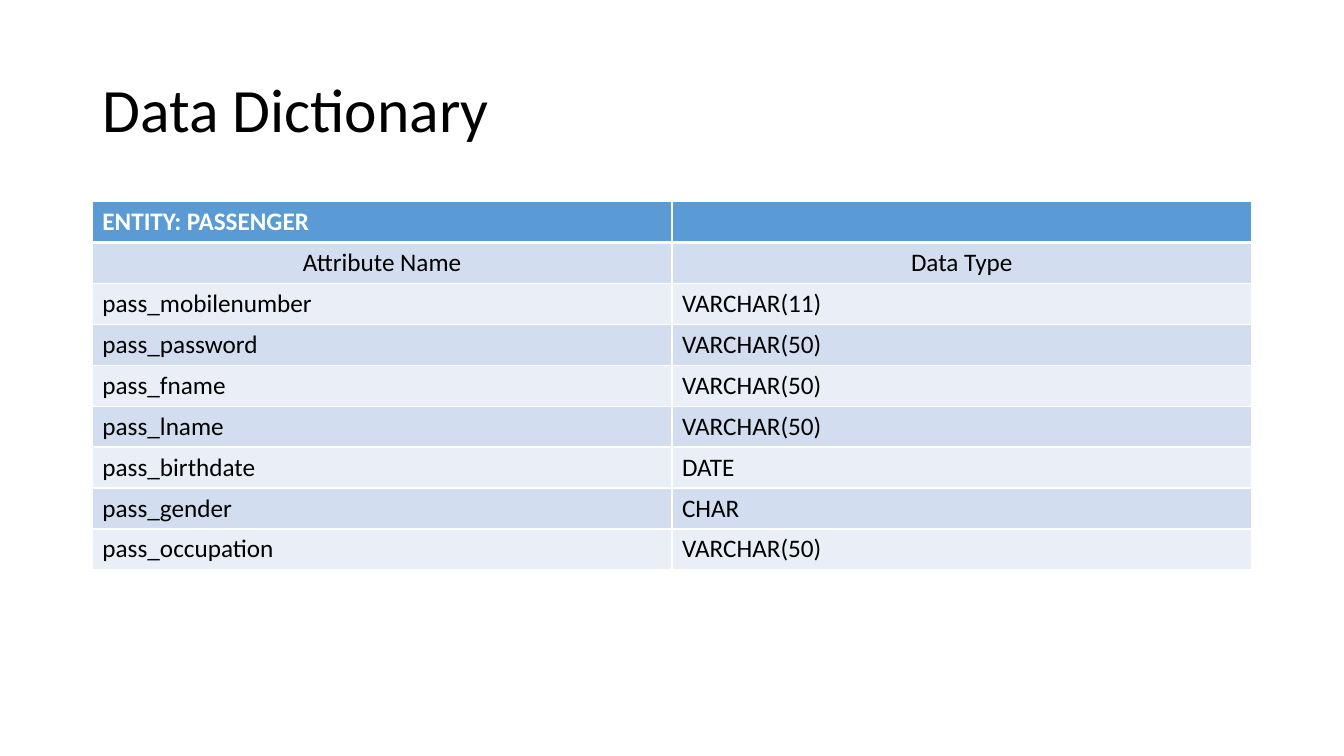
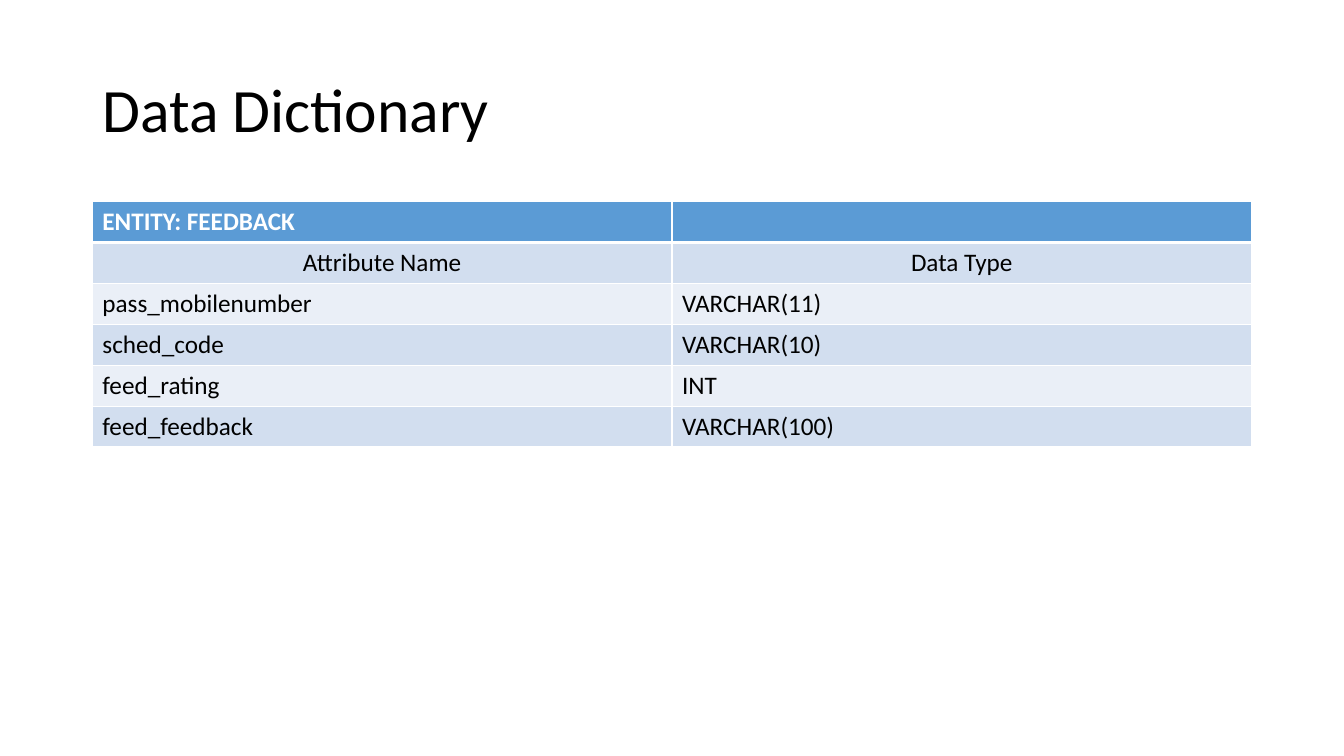
"""Build the data dictionary slides, one entity table per slide."""
from dataclasses import dataclass

from lxml.etree import SubElement
from pptx import Presentation
from pptx.dml.color import RGBColor as Color
from pptx.enum.text import MSO_ANCHOR as Anchor, PP_ALIGN as Align
from pptx.oxml.ns import qn
from pptx.presentation import Presentation as Deck
from pptx.slide import Slide
from pptx.table import _Cell as Cell
from pptx.text.text import TextFrame
from pptx.util import Emu, Pt


@dataclass(frozen=True)
class Theme:
    font: str = "Calibri"
    title_size: int = 44
    table_size: int = 18
    text: str = "000000"
    header_text: str = "FFFFFF"
    header_fill: str = "5B9BD5"
    bands: tuple[str, str] = ("D2DEEF", "EAEFF7")
    border: str = "FFFFFF"
    thin: int = 1
    thick: int = 3


@dataclass(frozen=True)
class Box:
    left: int
    top: int
    width: int
    height: int


@dataclass(frozen=True)
class Entity:
    name: str
    attributes: tuple[tuple[str, str], ...]


THEME = Theme()
PAGE = Box(0, 0, 1280, 720)
TITLE = Box(88, 38, 1104, 139)
TABLE = Box(88, 192, 1104, 39)
TITLE_ONLY_LAYOUT = 5
COLUMN_NAMES = ("Attribute Name", "Data Type")

ENTITIES = (
    Entity("PASSENGER", (
        ("pass_mobilenumber", "VARCHAR(11)"),
        ("pass_password", "VARCHAR(50)"),
        ("pass_fname", "VARCHAR(50)"),
        ("pass_lname", "VARCHAR(50)"),
        ("pass_birthdate", "DATE"),
        ("pass_gender", "CHAR"),
        ("pass_occupation", "VARCHAR(50)"),
    )),
    Entity("FEEDBACK", (
        ("pass_mobilenumber", "VARCHAR(11)"),
        ("sched_code", "VARCHAR(10)"),
        ("feed_rating", "INT"),
        ("feed_feedback", "VARCHAR(100)"),
    )),
)


def px(length: int) -> Emu:
    return Emu(length * 9525)


def write(frame: TextFrame, text: str, size: int, color: str,
          align: Align = Align.LEFT, bold: bool = False) -> None:
    frame.text = text
    para = frame.paragraphs[0]
    para.alignment = align
    for span in para.runs:
        span.font.name = THEME.font
        span.font.size = Pt(size)
        span.font.bold = bold
        span.font.color.rgb = Color.from_string(color)


def add_title(page: Slide, text: str) -> None:
    title = page.shapes.title
    title.left, title.top = px(TITLE.left), px(TITLE.top)
    title.width, title.height = px(TITLE.width), px(TITLE.height)
    write(title.text_frame, text, THEME.title_size, THEME.text)
    title.text_frame.vertical_anchor = Anchor.MIDDLE
    title.text_frame.paragraphs[0].line_spacing = 0.9


def add_borders(cell: Cell, top: int, bottom: int) -> None:
    properties = cell._tc.get_or_add_tcPr()
    widths = {"L": THEME.thin, "R": THEME.thin, "T": top, "B": bottom}
    for side, width in widths.items():
        line = SubElement(properties, qn(f"a:ln{side}"), w=str(Pt(width)))
        fill = SubElement(line, qn("a:solidFill"))
        SubElement(fill, qn("a:srgbClr"), val=THEME.border)


def format_cell(cell: Cell, text: str, row: int) -> None:
    is_header = row == 0
    add_borders(cell, THEME.thick if row == 1 else THEME.thin,
                THEME.thick if is_header else THEME.thin)
    fill = THEME.header_fill if is_header else THEME.bands[(row - 1) % 2]
    cell.fill.solid()
    cell.fill.fore_color.rgb = Color.from_string(fill)
    write(cell.text_frame, text, THEME.table_size,
          THEME.header_text if is_header else THEME.text,
          Align.CENTER if row == 1 else Align.LEFT, is_header)


def add_entity_table(page: Slide, entity: Entity) -> None:
    rows = ((f"ENTITY: {entity.name}", ""), COLUMN_NAMES, *entity.attributes)
    table = page.shapes.add_table(
        len(rows), len(COLUMN_NAMES), px(TABLE.left), px(TABLE.top),
        px(TABLE.width), px(TABLE.height * len(rows))).table
    for row, texts in enumerate(rows):
        for column, text in enumerate(texts):
            format_cell(table.cell(row, column), text, row)


def add_entity_page(deck: Deck, entity: Entity) -> None:
    page = deck.slides.add_slide(deck.slide_layouts[TITLE_ONLY_LAYOUT])
    add_title(page, "Data Dictionary")
    add_entity_table(page, entity)


def main() -> None:
    deck = Presentation()
    deck.slide_width, deck.slide_height = px(PAGE.width), px(PAGE.height)
    for entity in ENTITIES:
        add_entity_page(deck, entity)
    deck.save("out.pptx")


if __name__ == "__main__":
    main()
